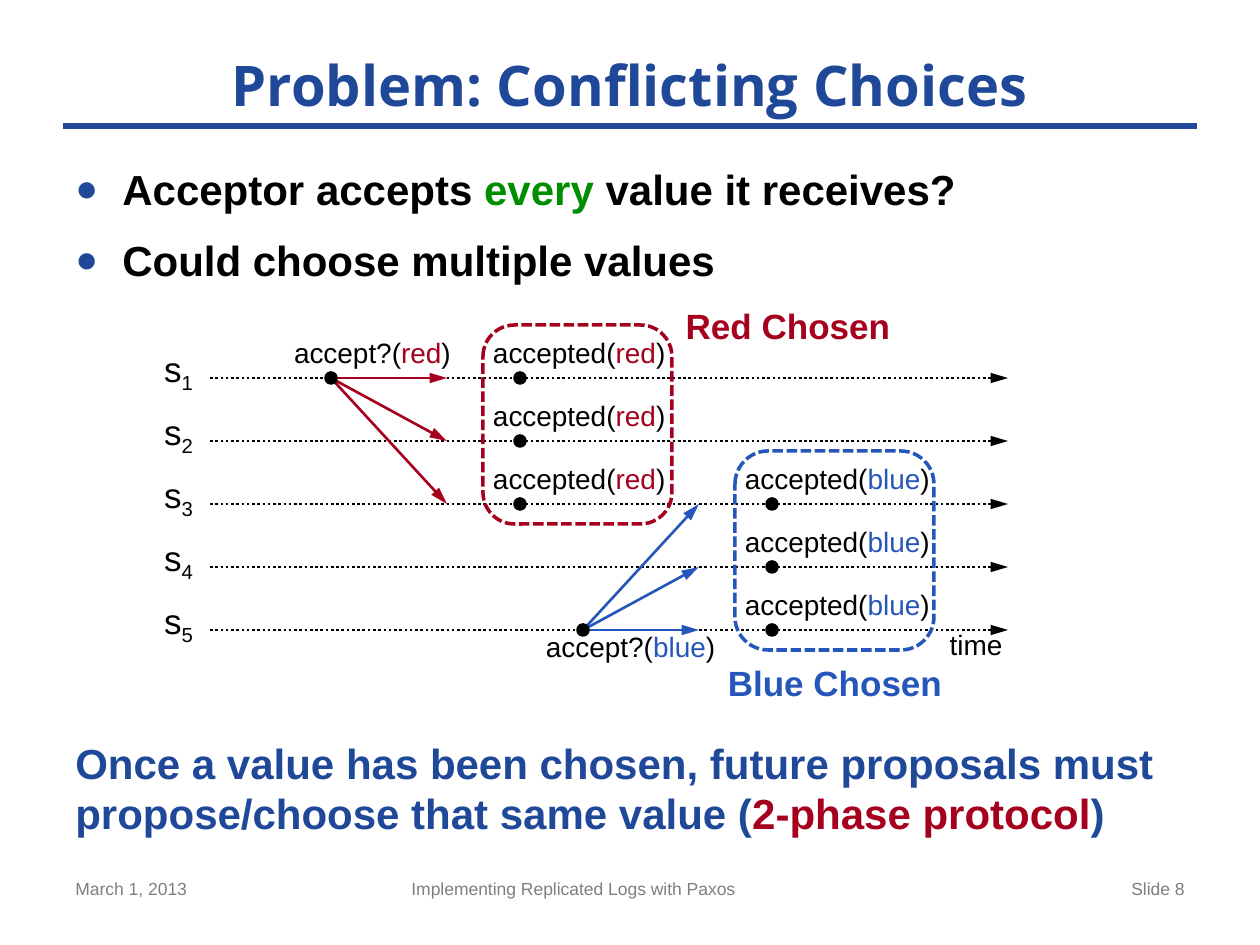
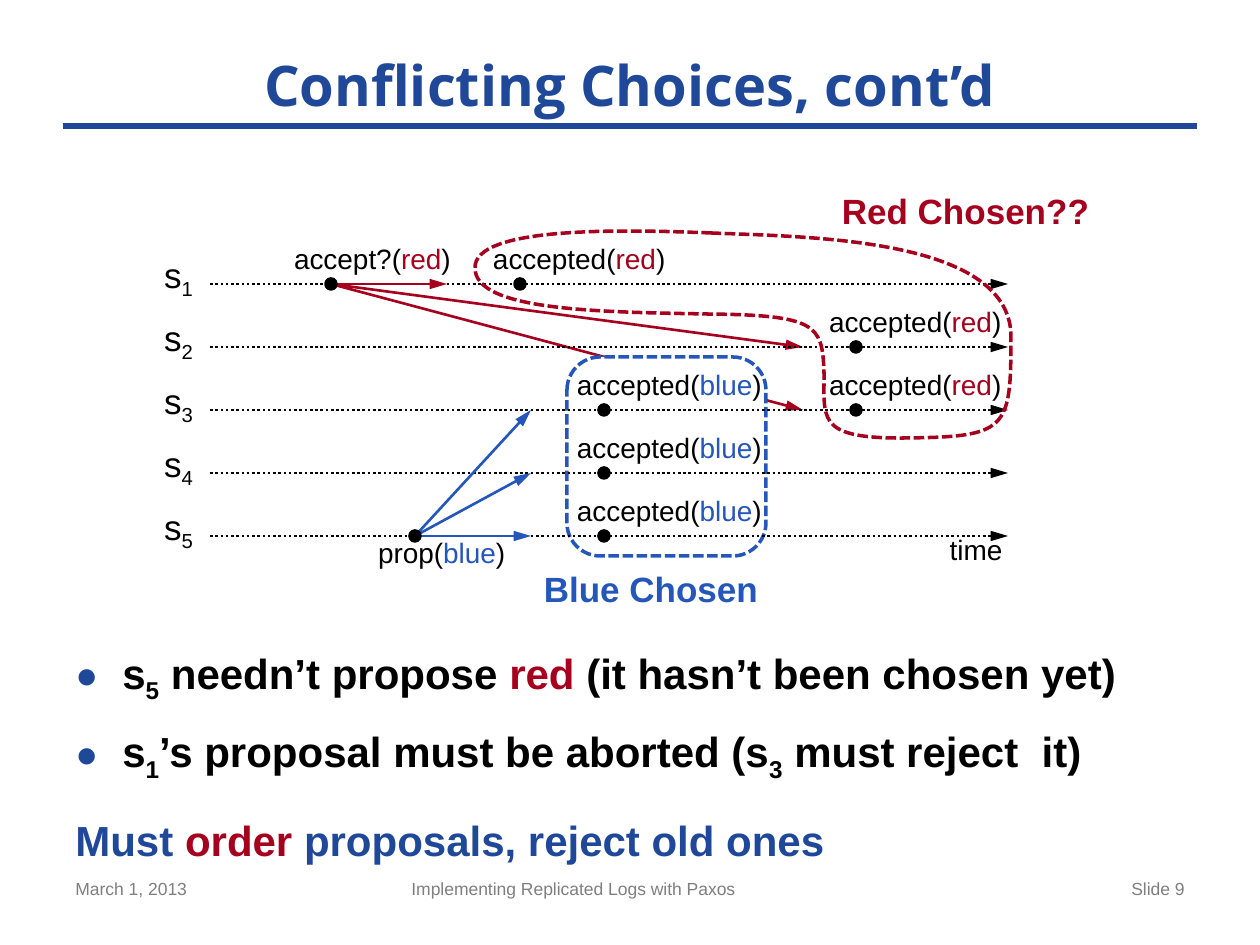
import dataclasses

import lxml.etree
import pptx
import pptx.dml.color
import pptx.enum.dml
import pptx.enum.shapes
import pptx.enum.text
import pptx.oxml.ns
import pptx.util

PX = 914400 / 126  # EMU in one pixel
ALIGN = pptx.enum.text.PP_ALIGN
ANCHOR = pptx.enum.text.MSO_ANCHOR
DASH = pptx.enum.dml.MSO_LINE
SHAPE = pptx.enum.shapes.MSO_SHAPE


@dataclasses.dataclass(frozen=True)
class Theme:
    navy: str = "1F4899"
    red: str = "A5001E"
    blue: str = "2556B9"
    green: str = "008E00"
    ink: str = "000000"
    paper: str = "FFFFFF"
    grey: str = "7F7F7F"
    text_font: str = "Arial"
    title_font: str = "Open Sans"
    title_size: int = 32
    body_size: int = 24
    label_size: int = 20
    event_size: int = 16
    footer_size: int = 10


THEME = Theme()

# Rules of the timeline diagrams
LANE_GAP = 63
LANE_LEFT, LANE_RIGHT = 210, 1008
ARROW_REACH = 116
GROUP_HEIGHT = 199
VALUE_COLOURS = {"red": THEME.red, "blue": THEME.blue}
ACCEPTED_WIDTHS = {"red": 220, "blue": 242}


def emu(*pixels):
    return [pptx.util.Emu(round(value * PX)) for value in pixels]


def rgb(colour):
    return pptx.dml.color.RGBColor.from_string(colour)


def add_xml(parent, tag, **attributes):
    child = lxml.etree.SubElement(parent, pptx.oxml.ns.qn(tag))
    for name, value in attributes.items():
        child.set(name, str(value))
    return child


# ---- Text ----

def add_span(para, text, colour, size, bold=False, font=THEME.text_font, subscript=False):
    span = para.add_run()
    span.text = text
    span.font.name, span.font.size, span.font.bold = font, pptx.util.Pt(size), bold
    span.font.color.rgb = rgb(colour)
    if subscript:
        span.font._element.set("baseline", "-25000")


def add_text_frame(page, at, inset=True, anchor=ANCHOR.TOP):
    frame = page.shapes.add_textbox(*emu(*at)).text_frame
    frame.word_wrap = True
    frame.vertical_anchor = anchor
    if not inset:
        frame.margin_left = frame.margin_right = frame.margin_top = frame.margin_bottom = 0
    return frame


def add_label(page, at, spans, size, align=ALIGN.LEFT, bold=False, inset=False):
    para = add_text_frame(page, at, inset).paragraphs[0]
    para.alignment = align
    for text, colour, *subscript in spans:
        add_span(para, text, colour, size, bold, subscript=bool(subscript))


def add_body(page, at, bullets, conclusion, conclusion_gap):
    frame = add_text_frame(page, at)
    for index, spans in enumerate(bullets + [conclusion]):
        para = frame.paragraphs[0] if index == 0 else frame.add_paragraph()
        is_bullet = index < len(bullets)
        para.space_before = pptx.util.Pt(12 if is_bullet else conclusion_gap)
        if is_bullet:
            add_bullet(para)
        for text, colour, *subscript in spans:
            add_span(para, text, colour, THEME.body_size, True, subscript=bool(subscript))


def add_bullet(para):
    properties = para._p.get_or_add_pPr()
    indent, = emu(47)
    properties.set("marL", str(indent))
    properties.set("indent", str(-indent))
    add_xml(add_xml(properties, "a:buClr"), "a:srgbClr", val=THEME.navy)
    add_xml(properties, "a:buSzPct", val=90000)
    add_xml(properties, "a:buFont", typeface=THEME.text_font)
    add_xml(properties, "a:buChar", char="●")


# ---- Lines and shapes ----

def style_line(line, colour, width, dash=None):
    line.color.rgb = rgb(colour)
    line.width = pptx.util.Pt(width)
    if dash is not None:
        line.dash_style = dash


def add_line(page, start, end, colour, width=1.5, dash=None, arrow=True):
    straight = pptx.enum.shapes.MSO_CONNECTOR.STRAIGHT
    line = page.shapes.add_connector(straight, *emu(*start, *end))
    style_line(line.line, colour, width, dash)
    if arrow:
        add_xml(line.line._get_or_add_ln(), "a:tailEnd", type="triangle", w="med", len="lg")
    add_xml(line._element.spPr, "a:effectLst")
    return line


def style_shape(shape, colour, fill=None, dash=None):
    shape.shadow.inherit = False
    if fill:
        shape.fill.solid()
        shape.fill.fore_color.rgb = rgb(fill)
    else:
        shape.fill.background()
    style_line(shape.line, colour, 2, dash)


def add_dot(page, x, y):
    dot = page.shapes.add_shape(SHAPE.OVAL, *emu(x - 5, y - 5, 10, 10))
    style_shape(dot, THEME.ink, THEME.ink)


def add_group(page, event_x, first_lane, width, colour, fill=None):
    """Dashed frame around three accepted values."""
    box = page.shapes.add_shape(
        SHAPE.ROUNDED_RECTANGLE, *emu(event_x - 37, first_lane - 53, width, GROUP_HEIGHT))
    style_shape(box, colour, fill, DASH.SQUARE_DOT)


def add_curved_outline(page, start, curves, colour):
    """Closed dashed outline; each curve is two control points and an end."""
    builder = page.shapes.build_freeform(*emu(*start), scale=1.0)
    builder.add_line_segments([emu(*curve[-1]) for curve in curves], close=True)
    outline = builder.convert_to_shape()
    # Turn each straight segment into a Bezier curve
    segments = list(outline._element.iter(pptx.oxml.ns.qn("a:lnTo")))
    for segment, curve in zip(segments, curves):
        bezier = lxml.etree.Element(pptx.oxml.ns.qn("a:cubicBezTo"))
        for point in curve:
            x, y = emu(*point)
            add_xml(bezier, "a:pt", x=x - outline.left, y=y - outline.top)
        segment.getparent().replace(segment, bezier)
    style_shape(outline, colour, dash=DASH.SQUARE_DOT)


# ---- Timeline diagram ----

def lanes_from(top):
    return [top + LANE_GAP * index for index in range(5)]


def add_lanes(page, lanes):
    for number, y in enumerate(lanes, 1):
        add_line(page, (LANE_LEFT, y), (LANE_RIGHT, y), THEME.ink, dash=DASH.ROUND_DOT)
        server = [("s", THEME.ink), (str(number), THEME.ink, True)]
        add_label(page, (147, y - 31, 63, 43), server, THEME.label_size, ALIGN.CENTER)
    add_label(page, (934, lanes[-1] - 3, 84, 34), [("time", THEME.ink)],
              THEME.event_size, ALIGN.CENTER)


def add_call(page, left, top, width, verb, value):
    spans = [(verb + "(", THEME.ink), (value, VALUE_COLOURS[value]), (")", THEME.ink)]
    add_label(page, (left, top, width, 34), spans, THEME.event_size)


def add_accepted(page, x, lanes, value):
    for y in lanes:
        add_call(page, x - 27, y - 42, ACCEPTED_WIDTHS[value], "accepted", value)
        add_dot(page, x, y)


def add_messages(page, x, y, targets, value, end_x=None):
    for target in targets:
        add_line(page, (x, y), (end_x or x + ARROW_REACH, target), VALUE_COLOURS[value])


def add_proposal(page, x, y, width, verb, value, label_above):
    add_call(page, x - 37, y - 42 if label_above else y, width, verb, value)
    add_dot(page, x, y)


def add_verdict(page, at, text, colour):
    add_label(page, at, [(text, colour)], THEME.label_size, ALIGN.CENTER, True)


# ---- Slides ----

def move_to_master(deck, line):
    line._element.nvCxnSpPr.cNvPr.set("id", "20")
    deck.slide_master.shapes.element.append(line._element)


def add_page(deck, title, number):
    page = deck.slides.add_slide(deck.slide_layouts[6])
    if len(deck.slides) == 1:
        # The rule under the title is shared by every page
        move_to_master(deck, add_line(page, (63, 126), (1197, 126), THEME.navy, 4, arrow=False))
    para = add_text_frame(page, (63, 42, 1134, 84), anchor=ANCHOR.MIDDLE).paragraphs[0]
    para.alignment = ALIGN.CENTER
    add_span(para, title, THEME.navy, THEME.title_size, True, THEME.title_font)
    footers = [
        (63, 294, "March 1, 2013", ALIGN.LEFT),
        (399, 473, "Implementing Replicated Logs with Paxos", ALIGN.LEFT),
        (903, 294, f"Slide {number}", ALIGN.RIGHT),
    ]
    for left, width, text, align in footers:
        add_label(page, (left, 872, width, 54), [(text, THEME.grey)],
                  THEME.footer_size, align, inset=True)
    return page


def build_problem(deck):
    page = add_page(deck, "Problem: Conflicting Choices", 8)
    bullets = [
        [("Acceptor accepts ", THEME.ink), ("every ", THEME.green),
         ("value it receives?", THEME.ink)],
        [("Could choose multiple values", THEME.ink)],
    ]
    conclusion = [
        ("Once a value has been chosen, future proposals must "
         "propose/choose that same value (", THEME.navy),
        ("2-phase protocol", THEME.red), (")", THEME.navy),
    ]
    add_body(page, (63, 157, 1134, 693), bullets, conclusion, 258.5)

    lanes = lanes_from(378)
    add_lanes(page, lanes)
    # Red proposal from s1, blue proposal from s5
    add_messages(page, 331, lanes[0], lanes[:3], "red")
    add_messages(page, 583, lanes[4], lanes[2:], "blue")
    add_proposal(page, 331, lanes[0], 168, "accept?", "red", True)
    add_proposal(page, 583, lanes[4], 189, "accept?", "blue", False)
    # Accepted values and the two majorities
    add_accepted(page, 520, lanes[:3], "red")
    add_accepted(page, 772, lanes[2:], "blue")
    add_group(page, 520, lanes[0], 189, THEME.red)
    add_group(page, 772, lanes[2], 199, THEME.blue)
    add_verdict(page, (683, 304, 210, 43), "Red Chosen", THEME.red)
    add_verdict(page, (704, 661, 262, 43), "Blue Chosen", THEME.blue)


def build_continued(deck):
    page = add_page(deck, "Conflicting Choices, cont’d", 9)
    lanes = lanes_from(284)
    # The late red messages pass behind the blue majority
    add_messages(page, 331, lanes[0], lanes[1:3], "red", 803)
    add_group(page, 604, lanes[2], 199, THEME.blue, THEME.paper)
    add_lanes(page, lanes)
    add_messages(page, 331, lanes[0], lanes[:1], "red")
    add_messages(page, 415, lanes[4], lanes[2:], "blue")
    add_proposal(page, 331, lanes[0], 168, "accept?", "red", True)
    add_proposal(page, 415, lanes[4], 147, "prop", "blue", False)
    # Accepted values
    add_accepted(page, 520, lanes[:1], "red")
    add_accepted(page, 856, lanes[1:3], "red")
    add_accepted(page, 604, lanes[2:], "blue")
    add_verdict(page, (829, 189, 273, 43), "Red Chosen??", THEME.red)
    add_verdict(page, (525, 567, 252, 43), "Blue Chosen", THEME.blue)
    # Red majority, spread over two moments
    add_curved_outline(page, (712, 233), [
        ((615, 229), (474, 227), (475, 268)),
        ((475, 311), (600, 312), (708, 314)),
        ((816, 315), (822, 325), (824, 370)),
        ((825, 417), (814, 438), (901, 438)),
        ((1009, 437), (1011, 431), (1011, 334)),
        ((1007, 238), (810, 237), (712, 233)),
    ], THEME.red)

    bullets = [
        [("s", THEME.ink), ("5", THEME.ink, True), (" needn’t propose ", THEME.ink),
         ("red", THEME.red), (" (it hasn’t been chosen yet)", THEME.ink)],
        [("s", THEME.ink), ("1", THEME.ink, True),
         ("’s proposal must be aborted (s", THEME.ink), ("3", THEME.ink, True),
         (" must reject  it)", THEME.ink)],
    ]
    conclusion = [("Must ", THEME.navy), ("order", THEME.red),
                  (" proposals, reject old ones", THEME.navy)]
    add_body(page, (63, 641, 1134, 231), bullets, conclusion, 18)


def main():
    deck = pptx.Presentation()
    deck.slide_width, deck.slide_height = emu(1260, 945)
    build_problem(deck)
    build_continued(deck)
    deck.save("out.pptx")


main()
